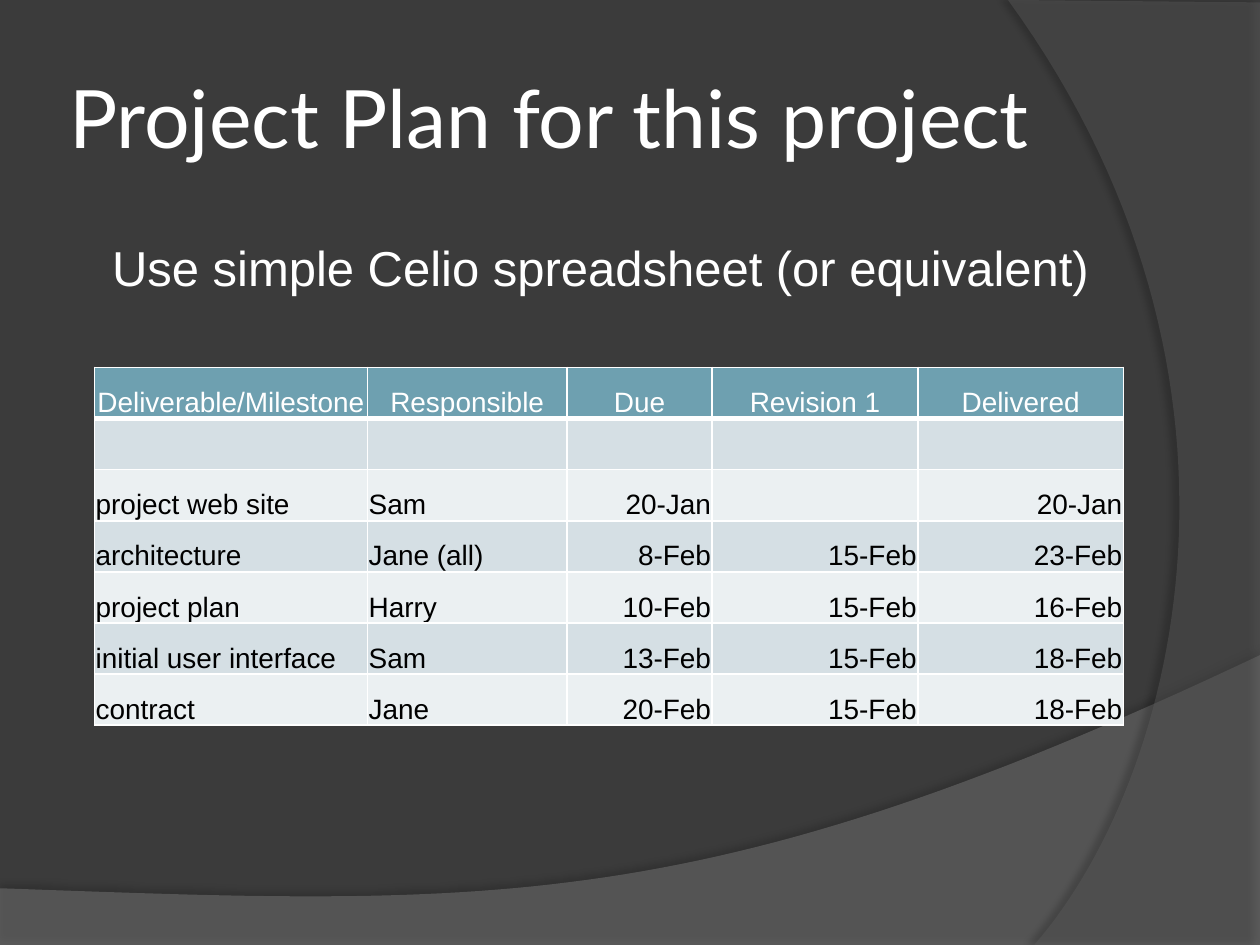
from dataclasses import dataclass

from lxml import etree
from pptx import Presentation
from pptx.dml.color import RGBColor
from pptx.enum.text import MSO_ANCHOR, PP_ALIGN
from pptx.oxml.ns import qn
from pptx.util import Pt

TOP, MIDDLE, BOTTOM = MSO_ANCHOR.TOP, MSO_ANCHOR.MIDDLE, MSO_ANCHOR.BOTTOM
LEFT, CENTER, RIGHT = PP_ALIGN.LEFT, PP_ALIGN.CENTER, PP_ALIGN.RIGHT

Point = tuple[float, float]


@dataclass(frozen=True)
class Theme:
    background: str = "3B3B3B"
    light: str = "FFFFFF"
    dark: str = "000000"
    header: str = "6EA0B0"
    bands: tuple[str, str] = ("D5DFE4", "EBF0F2")
    title_font: str = "Lato"
    body_font: str = "Arial"
    title_size: float = 46
    body_size: float = 28
    table_size: float = 16


@dataclass(frozen=True)
class Swoosh:
    """A background area: straight corners, then one Bezier curve from the last corner."""
    corners: list[Point]
    curve: tuple[Point, Point, Point]
    color: str
    opacity: int
    shadow_opacity: int
    shadow_distance: float
    shadow_angle: int


@dataclass(frozen=True)
class TextBox:
    text: str
    left: float
    top: float
    width: float
    height: float
    font: str
    size: float
    anchor: MSO_ANCHOR
    side_inset: float


THEME = Theme()

SWOOSHES = [
    Swoosh([(0, 507.6), (0, 540), (720, 540), (720, 374.4)],
           ((402.5, 524.9), (281.5, 517.7), (0, 507.6)), "7F7F7F", 45, 35, 3.5, 270),
    Swoosh([(720, 1.4), (720, 540), (591, 540)],
           ((673.2, 445.7), (733, 216), (576, 0)), "5E5E5E", 40, 45, 4, 180),
]

TITLE = TextBox("Project Plan for this project", 36, 21.6, 588, 90,
                THEME.title_font, THEME.title_size, MIDDLE, 3.6)
BODY = TextBox("Use simple Celio spreadsheet (or equivalent)", 54, 132, 595, 55,
               THEME.body_font, THEME.body_size, TOP, 7.2)

COLUMN_WIDTHS = [156, 114, 83, 117.5, 117.5]
COLUMN_ALIGNMENTS = [LEFT, LEFT, RIGHT, RIGHT, RIGHT]
ROW_HEIGHT = 29.2
PLAN = [
    ["Deliverable/Milestone", "Responsible", "Due", "Revision 1", "Delivered"],
    ["", "", "", "", ""],
    ["project web site", "Sam", "20-Jan", "", "20-Jan"],
    ["architecture", "Jane (all)", "8-Feb", "15-Feb", "23-Feb"],
    ["project plan", "Harry", "10-Feb", "15-Feb", "16-Feb"],
    ["initial user interface", "Sam", "13-Feb", "15-Feb", "18-Feb"],
    ["contract", "Jane", "20-Feb", "15-Feb", "18-Feb"],
]


def add_child(parent, tag: str, **attributes):
    return etree.SubElement(parent, qn(tag),
                            {name: str(value) for name, value in attributes.items()})


def set_solid(fill, color: str) -> None:
    fill.solid()
    fill.fore_color.rgb = RGBColor.from_string(color)


def set_font(para, name: str, size: float, color: str) -> None:
    para.font.name = name
    para.font.size = Pt(size)
    para.font.color.rgb = RGBColor.from_string(color)


def curve_points(start: Point, curve: tuple[Point, Point, Point],
                 steps: int = 60) -> list[Point]:
    """Sample a cubic Bezier curve, leaving out its start."""
    points = []
    for step in range(1, steps + 1):
        t = step / steps
        weights = ((1 - t) ** 3, 3 * t * (1 - t) ** 2, 3 * t ** 2 * (1 - t), t ** 3)
        x, y = (sum(weight * value for weight, value in zip(weights, axis))
                for axis in zip(start, *curve))
        points.append((x, y))
    return points


def draw_swoosh(page, swoosh: Swoosh) -> None:
    outline = swoosh.corners + curve_points(swoosh.corners[-1], swoosh.curve)
    vertices = [(Pt(x), Pt(y)) for x, y in outline]
    builder = page.shapes.build_freeform(*vertices[0])
    builder.add_line_segments(vertices[1:], close=True)
    shape = builder.convert_to_shape()
    shape.line.fill.background()
    set_solid(shape.fill, swoosh.color)
    properties = shape._element.spPr
    fill_color = properties.find(qn("a:solidFill"))[0]
    add_child(fill_color, "a:alpha", val=swoosh.opacity * 1000)
    effects = add_child(properties, "a:effectLst")
    shadow = add_child(effects, "a:outerShdw", blurRad=Pt(4),
                       dist=Pt(swoosh.shadow_distance),
                       dir=swoosh.shadow_angle * 60000, algn="ctr", rotWithShape=0)
    shadow_color = add_child(shadow, "a:srgbClr", val=THEME.dark)
    add_child(shadow_color, "a:alpha", val=swoosh.shadow_opacity * 1000)


def draw_text(page, item: TextBox):
    box = page.shapes.add_textbox(Pt(item.left), Pt(item.top),
                                  Pt(item.width), Pt(item.height))
    frame = box.text_frame
    frame.word_wrap = True
    frame.vertical_anchor = item.anchor
    frame.margin_left = frame.margin_right = Pt(item.side_inset)
    frame.margin_top = frame.margin_bottom = Pt(3.6)
    para = frame.paragraphs[0]
    para.text = item.text
    set_font(para, item.font, item.size, THEME.light)
    return para


def set_borders(cell, top: float, bottom: float) -> None:
    properties = cell._tc.get_or_add_tcPr()
    for side, width in (("L", 1), ("R", 1), ("T", top), ("B", bottom)):
        line = add_child(properties, f"a:ln{side}", w=Pt(width))
        add_child(add_child(line, "a:solidFill"), "a:srgbClr", val=THEME.light)


def draw_plan(page, left: float, top: float) -> None:
    table = page.shapes.add_table(len(PLAN), len(COLUMN_WIDTHS), Pt(left), Pt(top),
                                  Pt(sum(COLUMN_WIDTHS)), Pt(ROW_HEIGHT * len(PLAN))).table
    for column, width in zip(table.columns, COLUMN_WIDTHS):
        column.width = Pt(width)
    for row_index, texts in enumerate(PLAN):
        table.rows[row_index].height = Pt(ROW_HEIGHT)
        is_header = row_index == 0
        fill = THEME.header if is_header else THEME.bands[(row_index - 1) % 2]
        color = THEME.light if is_header else THEME.dark
        for column_index, text in enumerate(texts):
            cell = table.cell(row_index, column_index)
            set_borders(cell, 3 if row_index == 1 else 1, 3 if is_header else 1)
            set_solid(cell.fill, fill)
            cell.vertical_anchor = BOTTOM
            cell.margin_left = cell.margin_right = cell.margin_top = Pt(0.7)
            cell.margin_bottom = Pt(0)
            para = cell.text_frame.paragraphs[0]
            para.text = text
            para.alignment = CENTER if is_header else COLUMN_ALIGNMENTS[column_index]
            set_font(para, THEME.body_font, THEME.table_size, color)


def main() -> None:
    deck = Presentation()
    deck.slide_width, deck.slide_height = Pt(720), Pt(540)
    page = deck.slides.add_slide(deck.slide_layouts[6])
    set_solid(page.background.fill, THEME.background)
    for swoosh in SWOOSHES:
        draw_swoosh(page, swoosh)
    draw_text(page, TITLE)
    body = draw_text(page, BODY)
    body.space_before = Pt(5.6)
    indents = body._p.get_or_add_pPr()
    indents.set("marL", str(Pt(33)))
    indents.set("indent", str(Pt(-30)))
    draw_plan(page, 54, 210)
    deck.save("out.pptx")


if __name__ == "__main__":
    main()
